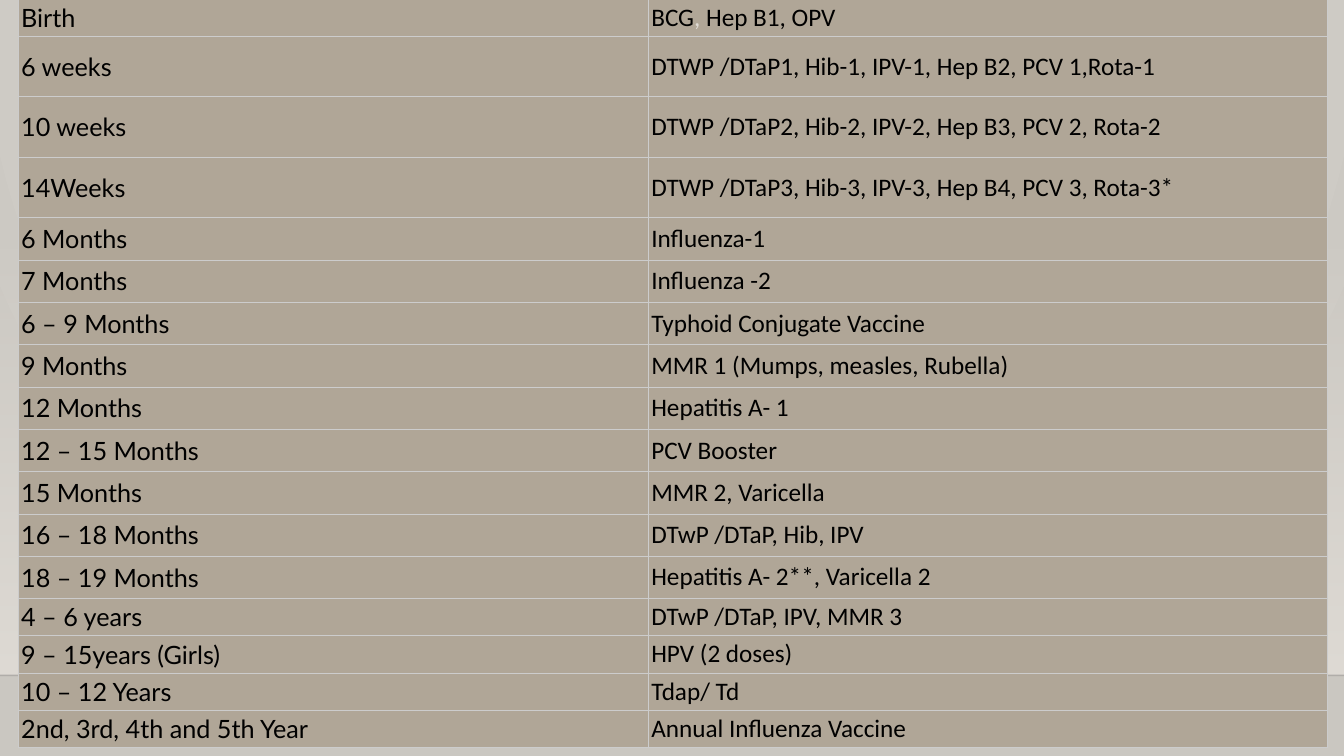
from lxml import etree
from pptx import Presentation
from pptx.dml.color import RGBColor
from pptx.enum.shapes import MSO_CONNECTOR, MSO_SHAPE
from pptx.enum.text import MSO_ANCHOR
from pptx.oxml import parse_xml
from pptx.oxml.ns import qn
from pptx.util import Inches, Pt

RECTANGLE = MSO_SHAPE.RECTANGLE
STRAIGHT = MSO_CONNECTOR.STRAIGHT
MIDDLE = MSO_ANCHOR.MIDDLE
NAMESPACE = "http://schemas.openxmlformats.org/drawingml/2006/main"

COLORS = {
    "glow": "ECEAE7",
    "edge": "CAC7C1",
    "haze": "DFDBD5",
    "horizon": "000001",
    "cell": "B0A697",
    "border": "CCCCCC",
    "text": "000000",
}
AGE_FONT, VACCINE_FONT = "Lato", "Calibri"
COLUMN_WIDTHS = [6.25, 6.73]
ROW_HEIGHTS = [0.37] + [0.6] * 3 + [0.42] * 9 + [0.37] * 4
SCHEDULE = [
    ("Birth", "BCG, Hep B1, OPV"),
    ("6 weeks", "DTWP /DTaP1, Hib-1, IPV-1, Hep B2, PCV 1,Rota-1"),
    ("10 weeks", "DTWP /DTaP2, Hib-2, IPV-2, Hep B3, PCV 2, Rota-2"),
    ("14Weeks", "DTWP /DTaP3, Hib-3, IPV-3, Hep B4, PCV 3, Rota-3*"),
    ("6 Months", "Influenza-1"),
    ("7 Months", "Influenza -2"),
    ("6 – 9 Months", "Typhoid Conjugate Vaccine"),
    ("9 Months", "MMR 1 (Mumps, measles, Rubella)"),
    ("12 Months", "Hepatitis A- 1"),
    ("12 – 15 Months", "PCV Booster"),
    ("15 Months", "MMR 2, Varicella"),
    ("16 – 18 Months", "DTwP /DTaP, Hib, IPV"),
    ("18 – 19 Months", "Hepatitis A- 2**, Varicella 2"),
    ("4 – 6 years", "DTwP /DTaP, IPV, MMR 3"),
    ("9 – 15years (Girls)", "HPV (2 doses)"),
    ("10 – 12 Years", "Tdap/ Td"),
    ("2nd, 3rd, 4th and 5th Year", "Annual Influenza Vaccine"),
]


def color(name):
    return RGBColor.from_string(COLORS[name])


def set_gradient(element, stops, direction):
    solid = element.find(".//" + qn("a:solidFill"))
    marks = "".join(
        f'<a:gs pos="{position}"><a:srgbClr val="{COLORS[name]}">'
        f'<a:alpha val="{alpha}"/></a:srgbClr></a:gs>'
        for position, name, alpha in stops
    )
    gradient = parse_xml(
        f'<a:gradFill xmlns:a="{NAMESPACE}" rotWithShape="1">'
        f"<a:gsLst>{marks}</a:gsLst>{direction}</a:gradFill>"
    )
    solid.getparent().replace(solid, gradient)


def add_background(page):
    page.background.fill.solid()
    set_gradient(
        page.element,
        [(0, "glow", 100000), (100000, "edge", 100000)],
        '<a:path path="circle">'
        '<a:fillToRect l="43000" t="0" r="43000" b="100000"/></a:path>',
    )


def add_haze(page):
    haze = page.shapes.add_shape(
        RECTANGLE, Inches(0), Inches(2.21), Inches(13.33), Inches(4.49)
    )
    haze.shadow.inherit = False
    haze.line.fill.background()
    haze.fill.solid()
    set_gradient(
        haze.element,
        [(0, "haze", 0), (100000, "haze", 100000)],
        '<a:lin ang="5400000" scaled="0"/>',
    )


def add_horizon(page):
    horizon = page.shapes.add_connector(
        STRAIGHT, Inches(0), Inches(6.7), Inches(13.33), Inches(6.7)
    )
    horizon.line.width = Pt(1)
    horizon.line.color.rgb = color("horizon")
    properties = horizon.element.spPr
    tint = properties.find(".//" + qn("a:srgbClr"))
    etree.SubElement(tint, qn("a:alpha"), val="20000")
    etree.SubElement(properties, qn("a:effectLst"))


def set_borders(cell):
    properties = cell._tc.get_or_add_tcPr()
    for index, side in enumerate(("lnL", "lnR", "lnT", "lnB")):
        border = parse_xml(
            f'<a:{side} xmlns:a="{NAMESPACE}" w="{Pt(0.5)}"><a:solidFill>'
            f'<a:srgbClr val="{COLORS["border"]}"/></a:solidFill></a:{side}>'
        )
        properties.insert(index, border)


def fill_cell(cell, spans, font_name):
    cell.fill.solid()
    cell.fill.fore_color.rgb = color("cell")
    cell.vertical_anchor = MIDDLE
    cell.margin_left = cell.margin_right = Inches(0.03)
    cell.margin_top = cell.margin_bottom = Inches(0.03)
    para = cell.text_frame.paragraphs[0]
    for text, color_name in spans:
        span = para.add_run()
        span.text = text
        span.font.name = font_name
        span.font.size = Pt(18)
        span.font.color.rgb = color(color_name)
    set_borders(cell)


def add_schedule(page):
    frame = page.shapes.add_table(
        len(SCHEDULE), len(COLUMN_WIDTHS),
        Inches(0.18), Inches(-0.01), Inches(12.98), Inches(7.46),
    )
    table = frame.table
    table.first_row = table.horz_banding = False
    for column, width in zip(table.columns, COLUMN_WIDTHS):
        column.width = Inches(width)
    for index, (age, vaccines) in enumerate(SCHEDULE):
        table.rows[index].height = Inches(ROW_HEIGHTS[index])
        spans = [(vaccines, "text")]
        if index == 0:
            first, rest = vaccines.split(",", 1)
            spans = [(first, "text"), (",", "haze"), (rest, "text")]
        fill_cell(table.cell(index, 0), [(age, "text")], AGE_FONT)
        fill_cell(table.cell(index, 1), spans, VACCINE_FONT)


def main():
    deck = Presentation()
    deck.slide_width, deck.slide_height = Inches(13.33), Inches(7.5)
    page = deck.slides.add_slide(deck.slide_layouts[6])
    add_background(page)
    add_haze(page)
    add_horizon(page)
    add_schedule(page)
    deck.save("out.pptx")


if __name__ == "__main__":
    main()
